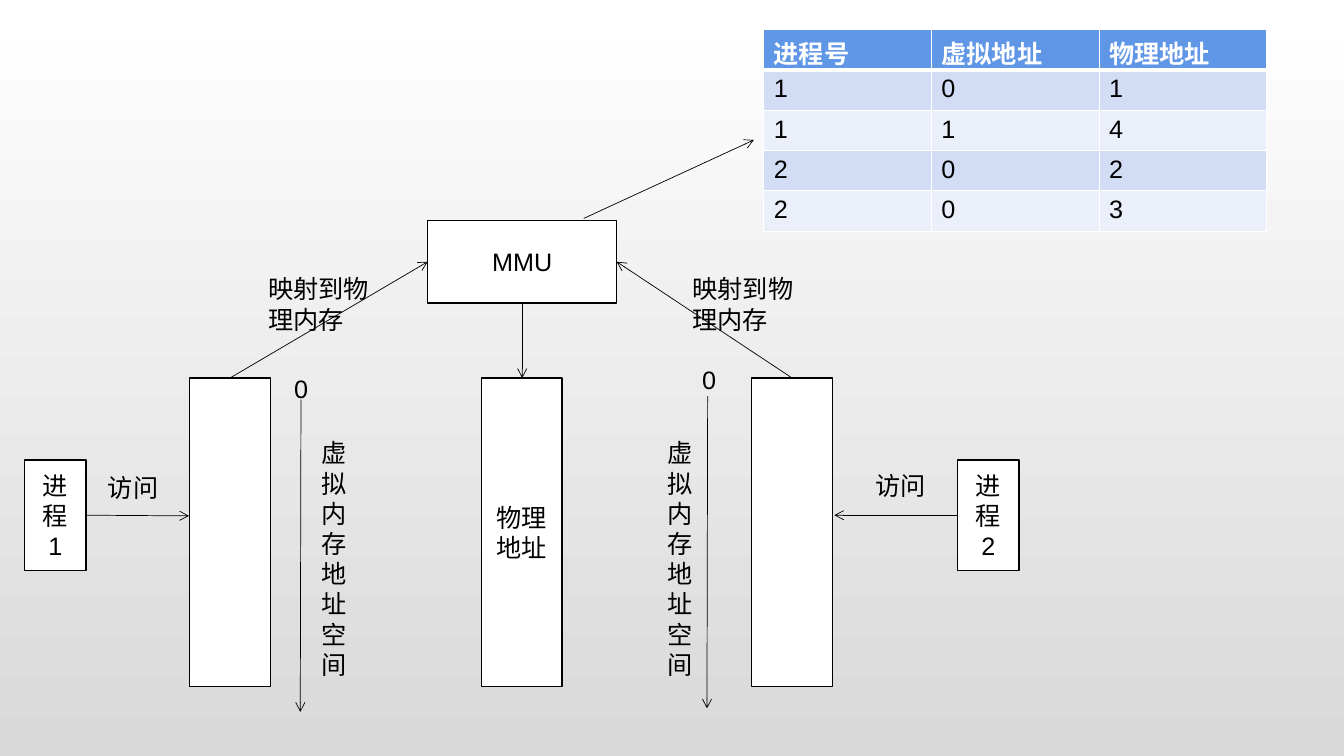
"""Build a slide on how the MMU maps the virtual memory of two processes."""
from lxml.etree import SubElement
from pptx import Presentation
from pptx.dml.color import RGBColor
from pptx.enum.shapes import MSO_CONNECTOR as Connector, MSO_SHAPE as Shape
from pptx.enum.text import MSO_ANCHOR as Anchor, PP_ALIGN as Align
from pptx.oxml.ns import qn
from pptx.util import Pt

COLORS = {"ink": "000000", "paper": "FFFFFF", "shade": "D9D9D9",
          "header": "6096E6", "odd": "D2DDF5", "even": "EAEFFA"}
FONT, SIZE = "Arial", 18

BAR_TOP, BAR_SIZE = 270, (57.6, 220.5)
PROCESS_TOP, PROCESS_SIZE = 328.5, (44, 79)
BOXES = [
    ("进程\n1", (17.5, PROCESS_TOP), PROCESS_SIZE),
    ("进程\n2", (684, PROCESS_TOP), PROCESS_SIZE),
    ("", (135.5, BAR_TOP), BAR_SIZE),
    ("", (537, BAR_TOP), BAR_SIZE),
    ("物理地址", (344, BAR_TOP), BAR_SIZE),
    ("MMU", (305.5, 157.5), (135, 59)),
]
ZERO, SPACE, VISIT, MAPPING = (15.1, 29), (35.3, 181.5), (57.6, 29), (87, 51)
LABELS = [
    ("0", (203, 263), ZERO),
    ("0", (494.5, 256.5), ZERO),
    ("虚拟内存地址空间", (222.5, 309), SPACE),
    ("虚拟内存地址空间", (470, 309), SPACE),
    ("访问", (70, 334), VISIT),
    ("访问", (618.5, 332.5), VISIT),
    ("映射到物理内存", (184.5, 192), MAPPING),
    ("映射到物理内存", (487.5, 192), MAPPING),
]
ARROWS = [
    ((215, 285.5), (214.5, 508.5)),
    ((505.5, 283), (505, 506)),
    ((164.3, BAR_TOP), (305.5, 187)),
    ((565.8, BAR_TOP), (440.5, 187)),
    ((373, 216.5), (373, BAR_TOP)),
    ((61.5, 368), (135, 368.5)),
    ((684, 368), (596, 368)),
    ((417, 156), (538.5, 100)),
]
ROWS = [
    ("进程号", "虚拟地址", "物理地址"),
    ("1", "0", "1"),
    ("1", "1", "4"),
    ("2", "0", "2"),
    ("2", "0", "3"),
]
TABLE_AT, COLUMN_WIDTH, ROW_HEIGHT = (545.5, 21), 119.8, 28.8


def color(name):
    return RGBColor.from_string(COLORS[name])


def write(frame, text, ink="ink", bold=False, align=Align.LEFT, anchor=Anchor.TOP):
    frame.word_wrap = True
    frame.vertical_anchor = anchor
    for index, line in enumerate(text.split("\n")):
        para = frame.paragraphs[0] if index == 0 else frame.add_paragraph()
        para.alignment = align
        span = para.add_run()
        span.text = line
        span.font.name, span.font.size = FONT, Pt(SIZE)
        span.font.bold = bold
        span.font.color.rgb = color(ink)


def add_box(text, place, size):
    box = page.shapes.add_shape(Shape.RECTANGLE, *map(Pt, place + size))
    box.shadow.inherit = False
    box.fill.solid()
    box.fill.fore_color.rgb = color("paper")
    box.line.color.rgb = color("ink")
    box.line.width = Pt(1)
    if text:
        write(box.text_frame, text, align=Align.CENTER, anchor=Anchor.MIDDLE)


def add_arrow(start, end):
    arrow = page.shapes.add_connector(Connector.STRAIGHT, *map(Pt, start + end))
    arrow.line.color.rgb = color("ink")
    arrow.line.width = Pt(0.5)
    SubElement(arrow.line._get_or_add_ln(), qn("a:tailEnd"), type="arrow")
    SubElement(arrow._element.spPr, qn("a:effectLst"))


def add_borders(cell, bottom):
    properties = cell._tc.get_or_add_tcPr()
    widths = {"lnL": 1, "lnR": 1, "lnT": 1, "lnB": bottom}
    for index, (side, width) in enumerate(widths.items()):
        border = SubElement(properties, qn(f"a:{side}"), w=str(Pt(width)))
        fill = SubElement(border, qn("a:solidFill"))
        SubElement(fill, qn("a:srgbClr"), val=COLORS["paper"])
        properties.insert(index, border)


def add_address_table():
    size = (COLUMN_WIDTH * len(ROWS[0]), ROW_HEIGHT * len(ROWS))
    table = page.shapes.add_table(len(ROWS), len(ROWS[0]),
                                  *map(Pt, TABLE_AT + size)).table
    for row, values in enumerate(ROWS):
        header = row == 0
        band = "header" if header else "odd" if row % 2 else "even"
        for column, value in enumerate(values):
            cell = table.cell(row, column)
            cell.fill.solid()
            cell.fill.fore_color.rgb = color(band)
            write(cell.text_frame, value, "paper" if header else "ink", header)
            add_borders(cell, 3 if header else 1)


deck = Presentation()
deck.slide_width, deck.slide_height = Pt(960), Pt(540)
page = deck.slides.add_slide(deck.slide_layouts[6])
backdrop = page.background.fill
backdrop.gradient()
backdrop.gradient_angle = 270
for stop, name in zip(backdrop.gradient_stops, ("paper", "shade")):
    stop.color.rgb = color(name)
    stop.position = 0 if name == "paper" else 1

for item in BOXES:
    add_box(*item)
for text, place, size in LABELS:
    label = page.shapes.add_textbox(*map(Pt, place + size))
    write(label.text_frame, text)
for ends in ARROWS:
    add_arrow(*ends)
add_address_table()
deck.save("out.pptx")
